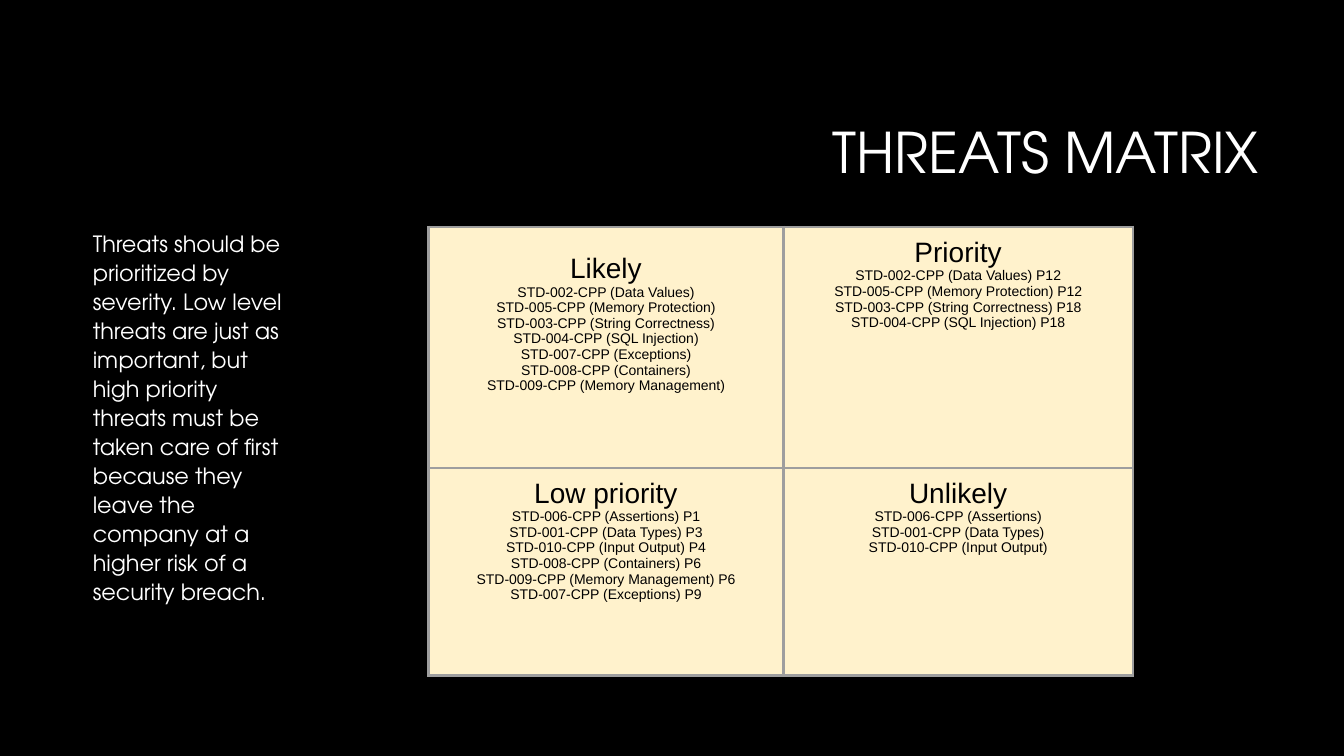
import pptx
import pptx.dml.color
import pptx.enum.text
import pptx.oxml
import pptx.oxml.ns
import pptx.util
from pptx.dml.color import RGBColor
from pptx.util import Cm, Pt

BLACK = RGBColor(0x00, 0x00, 0x00)
WHITE = RGBColor(0xFF, 0xFF, 0xFF)
CREAM = RGBColor(0xFF, 0xF2, 0xCC)
GREY = RGBColor(0x9E, 0x9E, 0x9E)
DISPLAY_FONT = "TeX Gyre Adventor"
TABLE_FONT = "Arial"
ALIGN = pptx.enum.text.PP_ALIGN
ANCHOR = pptx.enum.text.MSO_ANCHOR

TITLE = "THREATS MATRIX"
ADVICE = (
    "Threats should be prioritized by severity. Low level threats are just as "
    "important, but high priority threats must be taken care of first because "
    "they leave the company at a higher risk of a security breach."
)
MATRIX = [
    [
        ("Likely", [
            "STD-002-CPP (Data Values)",
            "STD-005-CPP (Memory Protection)",
            "STD-003-CPP (String Correctness)",
            "STD-004-CPP (SQL Injection)",
            "STD-007-CPP (Exceptions)",
            "STD-008-CPP (Containers)",
            "STD-009-CPP (Memory Management)",
        ]),
        ("Priority", [
            "STD-002-CPP (Data Values) P12",
            "STD-005-CPP (Memory Protection) P12",
            "STD-003-CPP (String Correctness) P18",
            "STD-004-CPP (SQL Injection) P18",
        ]),
    ],
    [
        ("Low priority", [
            "STD-006-CPP (Assertions) P1",
            "STD-001-CPP (Data Types) P3",
            "STD-010-CPP (Input Output) P4",
            "STD-008-CPP (Containers) P6",
            "STD-009-CPP (Memory Management) P6",
            "STD-007-CPP (Exceptions) P9",
        ]),
        ("Unlikely", [
            "STD-006-CPP (Assertions)",
            "STD-001-CPP (Data Types)",
            "STD-010-CPP (Input Output)",
        ]),
    ],
]
COLUMN_WIDTHS = [Cm(8.94), Cm(8.81)]
ROW_HEIGHTS = [Cm(6.07), Cm(5.23)]


def style_paragraph(para, font_name, size, color, align):
    para.alignment = align
    para.font.name = font_name
    para.font.size = Pt(size)
    para.font.color.rgb = color


def add_text(page, box, text, size, align, anchor, spacing, left_margin):
    """Place one white paragraph in box (left, top, width, height)."""
    frame = page.shapes.add_textbox(*box).text_frame
    frame.word_wrap = True
    frame.vertical_anchor = anchor
    frame.margin_left = left_margin
    para = frame.paragraphs[0]
    para.text = text
    para.line_spacing = spacing
    style_paragraph(para, DISPLAY_FONT, size, WHITE, align)


def add_borders(cell, width):
    properties = cell._tc.get_or_add_tcPr()
    for position, side in enumerate(("lnL", "lnR", "lnT", "lnB")):
        line = pptx.oxml.parse_xml(
            f'<a:{side} {pptx.oxml.ns.nsdecls("a")} w="{width}">'
            f'<a:solidFill><a:srgbClr val="{GREY}"/></a:solidFill></a:{side}>'
        )
        properties.insert(position, line)


def fill_cell(cell, heading, threats, top_margin):
    cell.fill.solid()
    cell.fill.fore_color.rgb = CREAM
    add_borders(cell, Pt(2.25))
    cell.margin_left = cell.margin_right = cell.margin_bottom = Cm(0.25)
    cell.margin_top = top_margin
    frame = cell.text_frame
    frame.text = "\n".join([heading, *threats])
    for index, para in enumerate(frame.paragraphs):
        size = 10 if index else 20
        style_paragraph(para, TABLE_FONT, size, BLACK, ALIGN.CENTER)


def add_matrix(page, left, top):
    table = page.shapes.add_table(
        len(MATRIX), len(MATRIX[0]), left, top, sum(COLUMN_WIDTHS), sum(ROW_HEIGHTS)
    ).table
    table.first_row = table.horz_banding = False
    for column, width in zip(table.columns, COLUMN_WIDTHS):
        column.width = width
    for row, height, quadrants in zip(table.rows, ROW_HEIGHTS, MATRIX):
        row.height = height
        for cell, (heading, threats) in zip(row.cells, quadrants):
            # The Likely list starts one small line lower than the others.
            top_margin = Cm(0.66) if heading == "Likely" else Cm(0.25)
            fill_cell(cell, heading, threats, top_margin)


def main():
    deck = pptx.Presentation()
    deck.slide_width, deck.slide_height = Cm(33.87), Cm(19.05)
    page = deck.slides.add_slide(deck.slide_layouts[6])
    page.background.fill.solid()
    page.background.fill.fore_color.rgb = BLACK

    title_box = (Cm(8.05), Cm(2.13), Cm(23.93), Cm(3.58))
    add_text(page, title_box, TITLE, 40, ALIGN.RIGHT, ANCHOR.MIDDLE, 0.9, Cm(0.25))
    advice_box = (Cm(1.45), Cm(5.61), Cm(5.97), Cm(11.86))
    add_text(page, advice_box, ADVICE, 16, ALIGN.LEFT, ANCHOR.TOP, 1.08, Cm(0.89))
    add_matrix(page, Cm(10.8), Cm(5.72))
    deck.save("out.pptx")


if __name__ == "__main__":
    main()
